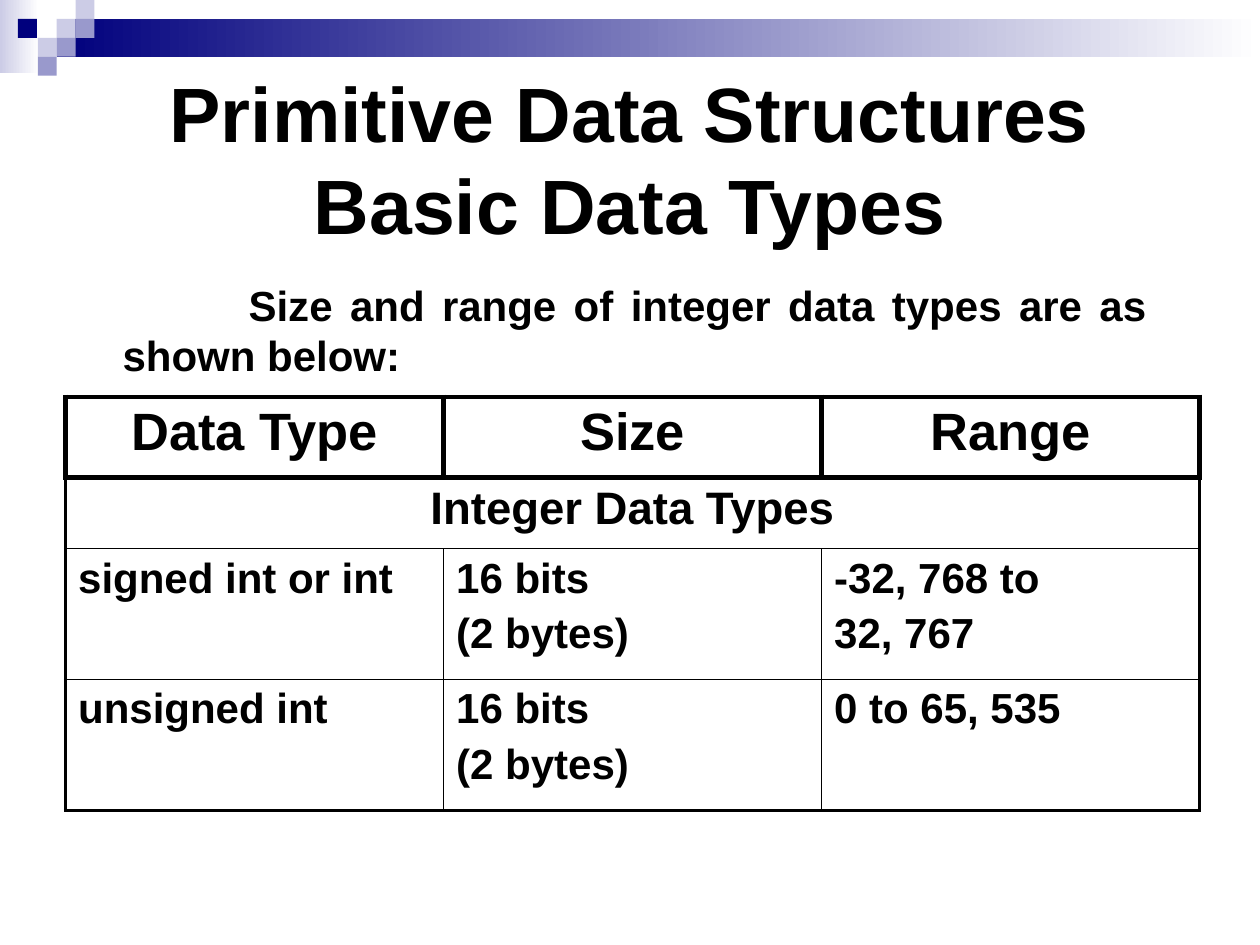
import lxml.etree
import pptx
import pptx.dml.color
import pptx.enum.shapes
import pptx.enum.text
import pptx.oxml.ns
import pptx.util

Pt = pptx.util.Pt
Align = pptx.enum.text.PP_ALIGN
Anchor = pptx.enum.text.MSO_ANCHOR
qn = pptx.oxml.ns.qn

NAVY = pptx.dml.color.RGBColor(0x00, 0x00, 0x7D)
PERIWINKLE = pptx.dml.color.RGBColor(0x99, 0x99, 0xCC)
LAVENDER = pptx.dml.color.RGBColor(0xCC, 0xCC, 0xE6)
WHITE = pptx.dml.color.RGBColor(0xFF, 0xFF, 0xFF)
BLACK = pptx.dml.color.RGBColor(0x00, 0x00, 0x00)

FONT = "Arial"
TILE = 10.8
THICK, MEDIUM, THIN = 3, 2.25, 1


def write_text(frame, text, size=24, align=Align.JUSTIFY, space_before=0,
               margin_left=0, first_indent=0):
    """Fill a text frame, one paragraph per line of text."""
    frame.word_wrap = True
    for index, line in enumerate(text.split("\n")):
        paragraph = frame.paragraphs[0] if index == 0 else frame.add_paragraph()
        paragraph.text = line
        paragraph.alignment = align
        paragraph.space_before = Pt(space_before)
        paragraph.font.name = FONT
        paragraph.font.size = Pt(size)
        paragraph.font.bold = True
        paragraph.font.color.rgb = BLACK
        if margin_left or first_indent:
            properties = paragraph._p.get_or_add_pPr()
            properties.set("marL", str(Pt(margin_left)))
            properties.set("indent", str(Pt(first_indent)))


def set_borders(cell, **widths):
    """Draw black cell borders of the given widths, by side."""
    properties = cell._tc.get_or_add_tcPr()
    sides = [("left", "a:lnL"), ("right", "a:lnR"), ("top", "a:lnT"), ("bottom", "a:lnB")]
    for position, (side, tag) in enumerate(sides):
        line = lxml.etree.Element(qn(tag), w=str(Pt(widths[side])))
        fill = lxml.etree.SubElement(line, qn("a:solidFill"))
        lxml.etree.SubElement(fill, qn("a:srgbClr"), val=str(BLACK))
        properties.insert(position, line)


class SlideBuilder:
    """Hold the current slide and add styled elements to it."""

    def __init__(self, slide):
        """Start with the slide to draw on."""
        self.slide = slide

    def rectangle(self, left, top, width, height, color, fade_to=None):
        """Add a borderless rectangle, plain or fading to the right."""
        shape = self.slide.shapes.add_shape(
            pptx.enum.shapes.MSO_SHAPE.RECTANGLE, Pt(left), Pt(top), Pt(width), Pt(height))
        shape.shadow.inherit = False
        shape.line.fill.background()
        if fade_to is None:
            shape.fill.solid()
            shape.fill.fore_color.rgb = color
        else:
            shape.fill.gradient()
            shape.fill.gradient_angle = 0
            for stop, stop_color in zip(shape.fill.gradient_stops, (color, fade_to)):
                stop.color.rgb = stop_color

    def text(self, left, top, width, height, text, anchor=Anchor.TOP,
             margin_right=7.2, **text_format):
        """Add a wrapping text box."""
        box = self.slide.shapes.add_textbox(Pt(left), Pt(top), Pt(width), Pt(height))
        box.text_frame.vertical_anchor = anchor
        box.text_frame.margin_right = Pt(margin_right)
        write_text(box.text_frame, text, **text_format)

    def table(self, left, top, column_width, row_heights, rows):
        """Add a ruled table; a row with one entry spans all columns."""
        columns = max(len(row) for row in rows)
        table = self.slide.shapes.add_table(
            len(rows), columns, Pt(left), Pt(top),
            Pt(column_width * columns), Pt(sum(row_heights))).table
        for column in table.columns:
            column.width = Pt(column_width)
        last_row, last_column = len(rows) - 1, columns - 1
        for r, row in enumerate(rows):
            table.rows[r].height = Pt(row_heights[r])
            spans = len(row) == 1
            if spans:
                table.cell(r, 0).merge(table.cell(r, last_column))
            size = 30 if r == 0 else 26 if spans else 24
            align = Align.CENTER if r == 0 or spans else Align.JUSTIFY
            for c in range(columns):
                cell = table.cell(r, c)
                cell.fill.background()
                inner = THICK if r == 0 else THIN
                outer = THICK if r == 0 else MEDIUM
                set_borders(
                    cell,
                    left=outer if c == 0 else inner,
                    right=outer if c == last_column or spans else inner,
                    top=THICK if r <= 1 else THIN,
                    bottom=MEDIUM if r == last_row else inner)
                if c < len(row):
                    write_text(cell.text_frame, row[c], size=size, align=align,
                               space_before=size * 0.2)


def main():
    """Build the slide and save it."""
    presentation = pptx.Presentation()
    presentation.slide_width, presentation.slide_height = Pt(720), Pt(540)
    slide = presentation.slides.add_slide(presentation.slide_layouts[6])
    builder = SlideBuilder(slide)

    builder.rectangle(0, 0, 22.3, 41.8, LAVENDER, fade_to=WHITE)
    builder.rectangle(3 * TILE, TILE, 720 - 3 * TILE, 2 * TILE, NAVY, fade_to=WHITE)
    tiles = [(3, 1, LAVENDER), (4, 0, LAVENDER), (4, 1, PERIWINKLE), (2, 2, LAVENDER),
             (0.95, 1, NAVY), (3, 2, PERIWINKLE), (2, 3, PERIWINKLE)]
    for column, row, color in tiles:
        builder.rectangle(column * TILE, row * TILE, TILE, TILE, color)

    builder.text(36, 36, 648, 108, "Primitive Data Structures\vBasic Data Types",
                 anchor=Anchor.MIDDLE, size=44, align=Align.CENTER)
    builder.text(36, 156, 648, 66,
                 "Size and range of integer data types are as shown below:",
                 margin_right=28.8, space_before=4.8, margin_left=27, first_indent=72)
    builder.table(37.5, 226.8, 216, [45.9, 40.9, 74.8, 74.8], [
        ["Data Type", "Size", "Range"],
        ["Integer Data Types"],
        ["signed int or int", "16 bits\n(2 bytes)", "-32, 768 to\n32, 767"],
        ["unsigned int", "16 bits\n(2 bytes)", "0 to 65, 535"],
    ])
    presentation.save("out.pptx")


main()
